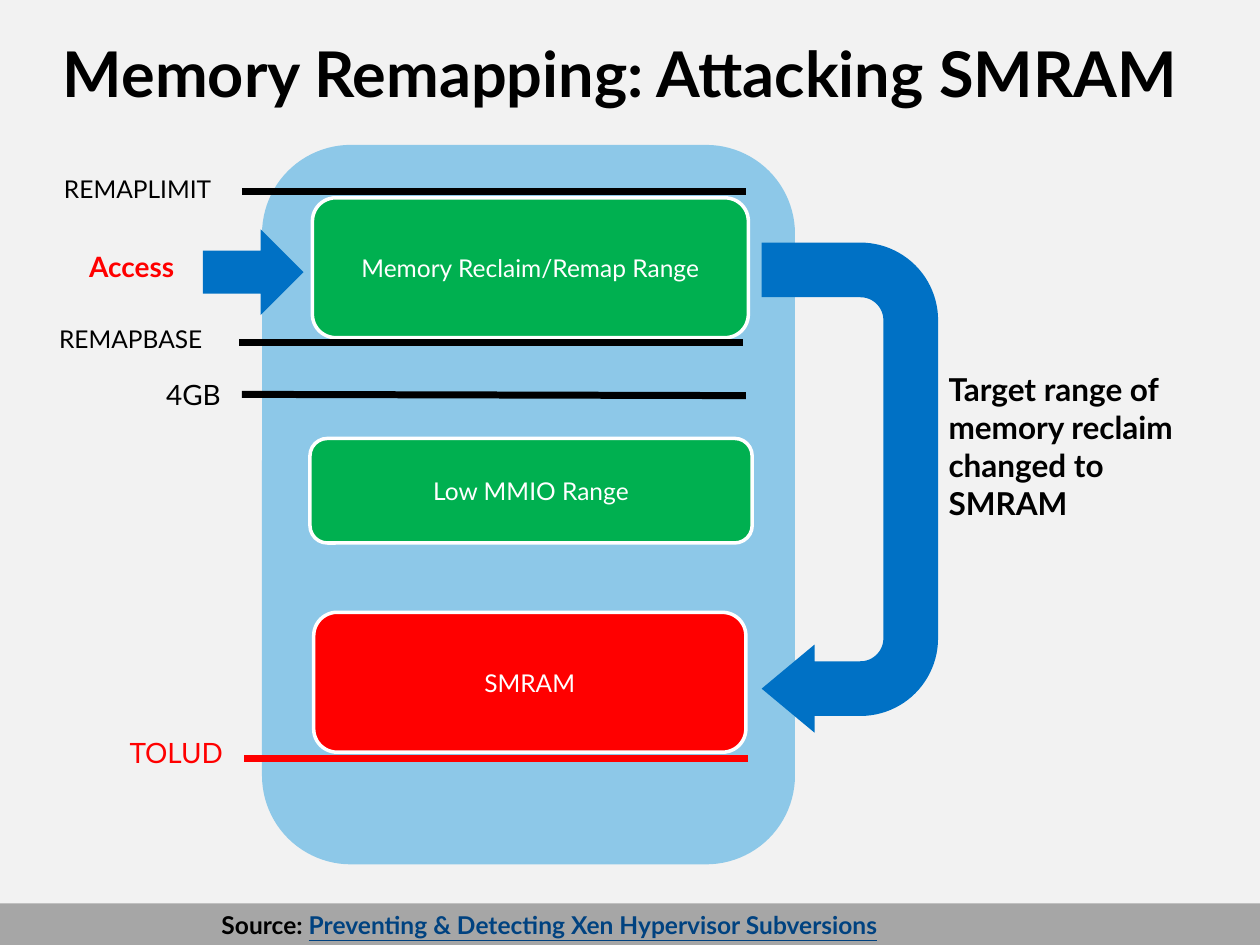
from lxml.etree import SubElement
from pptx import Presentation
from pptx.dml.color import RGBColor
from pptx.enum.shapes import MSO_CONNECTOR as Connector, MSO_SHAPE as Preset
from pptx.enum.text import MSO_ANCHOR as Anchor, PP_ALIGN as Align
from pptx.oxml.ns import qn
from pptx.util import Inches, Pt

COLUMNS, ROWS = 100, 75
WIDTH, HEIGHT = Inches(10), Inches(7.5)

BACKGROUND = RGBColor(0xF2, 0xF2, 0xF2)
FOOTER_GREY = RGBColor(0xA6, 0xA6, 0xA6)
MEMORY_BLUE = RGBColor(0x8D, 0xC8, 0xE8)
ARROW_BLUE = RGBColor(0x00, 0x71, 0xC5)
SOURCE_BLUE = RGBColor(0x00, 0x42, 0x80)
GREEN = RGBColor(0x00, 0xB0, 0x50)
RED = RGBColor(0xFF, 0x00, 0x00)
BLACK = RGBColor(0x00, 0x00, 0x00)
WHITE = RGBColor(0xFF, 0xFF, 0xFF)

RANGE_TEXT = {"size": Pt(14)}
LABEL_TEXT = {"size": Pt(16)}
STRONG_LABEL = {"size": Pt(16), "bold": True}
TITLE_TEXT = {"size": Pt(36), "bold": True}
NOTE_TEXT = {"size": Pt(18), "bold": True}
SOURCE_TEXT = {"size": Pt(14), "bold": True}
LINK_TEXT = SOURCE_TEXT | {"underline": True}

LABELS = [
    ("TOLUD", (9.3, 57.9, 10.6, 3.7), LABEL_TEXT, RED),
    ("4GB", (12.2, 29.5, 7, 3.7), LABEL_TEXT, BLACK),
    ("REMAPBASE", (3.7, 25.2, 15.5, 3.4), RANGE_TEXT, BLACK),
    ("REMAPLIMIT", (4.1, 13.3, 15.3, 3.4), RANGE_TEXT, BLACK),
    ("Access", (6.1, 19.3, 10.5, 3.7), STRONG_LABEL, RED),
    ("Target range of memory reclaim changed to SMRAM",
     (74.3, 28.9, 22.6, 13.1), NOTE_TEXT, BLACK),
]
RANGES = [
    ("Memory Reclaim/Remap Range", (24.8, 15.7, 34.6, 11.1), GREEN),
    ("Low MMIO Range", (24.6, 34.8, 35.1, 8.3), GREEN),
    ("SMRAM", (24.9, 48.6, 34.3, 11.1), RED),
]
BOUNDARY_LENGTH = 40
BOUNDARIES = [
    (19.2, 31.3, 31.4, BLACK),
    (19.4, 60.2, 60.2, RED),
    (19, 27.2, 27.2, BLACK),
    (19.2, 15.2, 15.2, BLACK),
]


def across(columns):
    return round(WIDTH * columns / COLUMNS)


def down(rows):
    return round(HEIGHT * rows / ROWS)


def place(area):
    left, top, width, height = area
    return across(left), down(top), across(width), down(height)


def add_run(paragraph, text, text_format, color):
    run = paragraph.add_run()
    run.text = text
    for name, value in ({"name": "Lato"} | text_format).items():
        setattr(run.font, name, value)
    run.font.color.rgb = color


def add_text(slide, area, runs, inset=None):
    frame = slide.shapes.add_textbox(*place(area)).text_frame
    frame.word_wrap = True
    if inset is not None:
        for side in ("left", "top", "right", "bottom"):
            setattr(frame, f"margin_{side}", inset)
    for run in runs:
        add_run(frame.paragraphs[0], *run)


def add_block(slide, preset, area, fill):
    shape = slide.shapes.add_shape(preset, *place(area))
    shape.shadow.inherit = False
    shape.fill.solid()
    shape.fill.fore_color.rgb = fill
    shape.line.fill.background()
    return shape


def add_range(slide, text, area, fill):
    shape = add_block(slide, Preset.ROUNDED_RECTANGLE, area, fill)
    shape.line.color.rgb = WHITE
    shape.line.width = Pt(2)
    shape.text_frame.word_wrap = True
    shape.text_frame.vertical_anchor = Anchor.MIDDLE
    paragraph = shape.text_frame.paragraphs[0]
    paragraph.alignment = Align.CENTER
    add_run(paragraph, text, RANGE_TEXT, WHITE)


def add_boundary(slide, left, start, end, color):
    line = slide.shapes.add_connector(
        Connector.STRAIGHT, across(left), down(start),
        across(left + BOUNDARY_LENGTH), down(end))
    line.line.color.rgb = color
    line.line.width = Pt(4)
    SubElement(line._element.spPr, qn("a:effectLst"))


def add_redirect_arrow(slide):
    arrow = add_block(slide, Preset.U_TURN_ARROW, (48, 31.7, 38.9, 14), ARROW_BLUE)
    arrow.rotation = 90
    for index, value in enumerate((0.31, 0.25, 0.3, 0.44, 1)):
        arrow.adjustments[index] = value


def main():
    presentation = Presentation()
    presentation.slide_width, presentation.slide_height = WIDTH, HEIGHT
    slide = presentation.slides.add_slide(presentation.slide_layouts[6])
    slide.background.fill.solid()
    slide.background.fill.fore_color.rgb = BACKGROUND

    add_block(slide, Preset.RECTANGLE, (0, 71.7, COLUMNS, 3.3), FOOTER_GREY)
    add_block(slide, Preset.ROUNDED_RECTANGLE, (20.8, 11.5, 42.3, 57.1), MEMORY_BLUE)
    add_text(slide, (5, 2.7, 90, 10.8),
             [("Memory Remapping: Attacking SMRAM", TITLE_TEXT, BLACK)], inset=0)
    for memory_range in RANGES:
        add_range(slide, *memory_range)
    for boundary in BOUNDARIES:
        add_boundary(slide, *boundary)
    add_redirect_arrow(slide)
    add_block(slide, Preset.RIGHT_ARROW, (16.1, 18.2, 8, 6.8), ARROW_BLUE)
    for text, area, text_format, color in LABELS:
        add_text(slide, area, [(text, text_format, color)])
    add_text(slide, (16.6, 71.7, 69, 3.4), [
        ("Source: ", SOURCE_TEXT, BLACK),
        ("Preventing & Detecting Xen Hypervisor Subversions", LINK_TEXT, SOURCE_BLUE),
    ])
    presentation.save("out.pptx")


if __name__ == "__main__":
    main()
